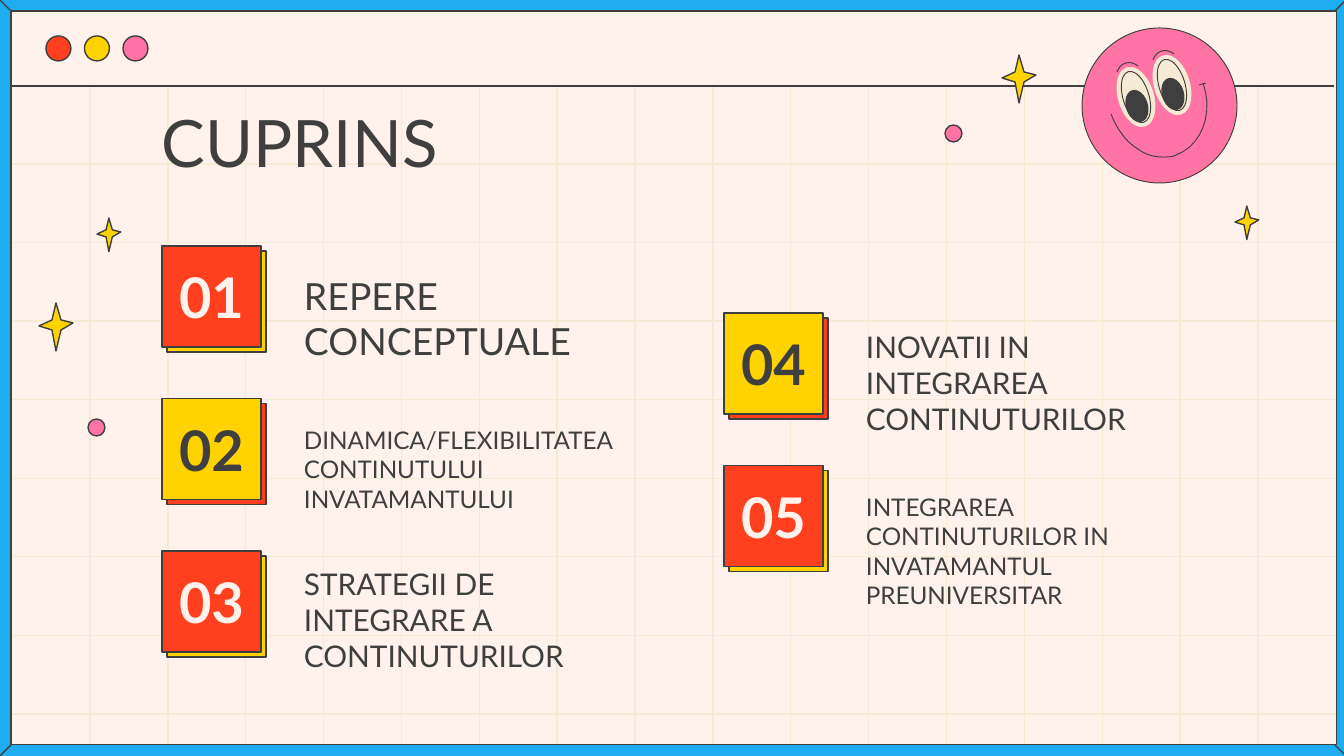
from pptx import Presentation
from pptx.dml.color import RGBColor
from pptx.enum.shapes import MSO_CONNECTOR, MSO_SHAPE
from pptx.enum.text import MSO_ANCHOR, PP_ALIGN
from pptx.oxml.ns import qn
from pptx.util import Pt
from lxml import etree

CREAM = RGBColor(0xFF, 0xF2, 0xEC)
SAND = RGBColor(0xF5, 0xEB, 0xD5)
INK = RGBColor(0x3F, 0x3F, 0x3F)
BLUE = RGBColor(0x1E, 0xAE, 0xF0)
RED = RGBColor(0xFF, 0x3F, 0x1E)
YELLOW = RGBColor(0xFF, 0xD3, 0x00)
PINK = RGBColor(0xFF, 0x74, 0xA5)
FONT = "Lato"

# Content: heading, then columns of (number, topic, size, topic drop)
HEADING = "CUPRINS"
COLUMNS = [
    (162, 246, [
        ("01", "REPERE CONCEPTUALE", 20, 27),
        ("02", "DINAMICA/FLEXIBILITATEA CONTINUTULUI INVATAMANTULUI", 13, 27),
        ("03", "STRATEGII DE INTEGRARE A CONTINUTURILOR", 16, 15),
    ]),
    (724, 313, [
        ("04", "INOVATII IN INTEGRAREA CONTINUTURILOR", 16, 16),
        ("05", "INTEGRAREA CONTINUTURILOR IN INVATAMANTUL PREUNIVERSITAR", 13, 27),
    ]),
]
CARD_STEP, CARD_W, CARD_H, CARD_SHIFT = 152.5, 99, 101, 5
RED_NUMBERS = ("01", "03", "05")

# Decoration
WINDOW_BUTTONS = [RED, YELLOW, PINK]
STAR = [(17, 0), (13, 17), (0, 23), (13, 27), (17, 48), (22, 27), (34, 20), (22, 17)]
STARS = [(1235, 206, 0.7), (1002, 55, 1), (39, 303, 1), (97, 218, 0.7)]
DOTS = [(88, 419), (945, 125)]

# Smiling face: eye layers as (centre x, centre y, width, height, fill, line)
EYE = [
    (1136, 97, 36, 62, SAND, None),
    (1136, 97, 26, 53, None, INK),
    (1137, 106, 22, 33, INK, None),
]
EYE_TILT = -17
EYE_SHIFTS = [(0, 0), (36, -12)]
SMILE = [(1111, 114), (1117, 129), (1126, 142), (1138, 149), (1146, 155),
         (1154, 157), (1164, 157), (1168, 157), (1172, 157), (1176, 155),
         (1201, 146), (1214, 114), (1203, 83)]
BROW = [(1117, 72), (1119, 67), (1122, 64), (1126, 63), (1130, 62), (1134, 63), (1138, 66)]
DIMPLE = [(1199, 85), (1206, 83)]

W, H = 1344, 756
EMU_PER_PX = 914400 / 134.4


def px(length):
    return round(length * EMU_PER_PX)


def paint(shape, fill, line, weight=0.75):
    shape.shadow.inherit = False
    if fill is None:
        shape.fill.background()
    else:
        shape.fill.solid()
        shape.fill.fore_color.rgb = fill
    if line is None:
        shape.line.fill.background()
    else:
        shape.line.color.rgb = line
        shape.line.width = Pt(weight)
    return shape


def add_shape(kind, x, y, w, h, fill, line=INK, weight=0.75):
    shape = slide.shapes.add_shape(kind, px(x), px(y), px(w), px(h))
    return paint(shape, fill, line, weight)


def add_line(x1, y1, x2, y2, color=INK):
    line = slide.shapes.add_connector(
        MSO_CONNECTOR.STRAIGHT, px(x1), px(y1), px(x2), px(y2))
    line.line.color.rgb = color
    line.line.width = Pt(0.75)
    etree.SubElement(line._element.spPr, qn("a:effectLst"))


def add_outline(points, fill=None, close=False, weight=0.75):
    corners = [(px(x), px(y)) for x, y in points]
    builder = slide.shapes.build_freeform(*corners[0], scale=1.0)
    builder.add_line_segments(corners[1:], close=close)
    return paint(builder.convert_to_shape(), fill, INK, weight)


def curve(knots, steps=10):
    """Points along joined cubic curves whose ends are every third knot."""
    points = [knots[0]]
    for i in range(0, len(knots) - 1, 3):
        for t in (n / steps for n in range(1, steps + 1)):
            weights = ((1 - t) ** 3, 3 * t * (1 - t) ** 2, 3 * t * t * (1 - t), t ** 3)
            points.append(tuple(
                sum(k * knot[axis] for k, knot in zip(weights, knots[i:i + 4]))
                for axis in (0, 1)))
    return points


def write(shape, text, size, color=INK, bold=False, align=PP_ALIGN.LEFT, anchor=MSO_ANCHOR.TOP):
    frame = shape.text_frame
    layout = dict(word_wrap=True, vertical_anchor=anchor, margin_left=0,
                  margin_right=0, margin_top=0, margin_bottom=0)
    for name, value in layout.items():
        setattr(frame, name, value)
    paragraph = frame.paragraphs[0]
    paragraph.alignment = align
    run = paragraph.add_run()
    run.text = text
    for name, value in dict(name=FONT, size=Pt(size), bold=bold).items():
        setattr(run.font, name, value)
    run.font.color.rgb = color


def add_text(x, y, w, h, text, size):
    write(slide.shapes.add_textbox(px(x), px(y), px(w), px(h)), text, size)


prs = Presentation()
prs.slide_width, prs.slide_height = px(W), px(H)
slide = prs.slides.add_slide(prs.slide_layouts[6])
slide.background.fill.solid()
slide.background.fill.fore_color.rgb = CREAM

# Grid
for i in range(16):
    x = 90 + i * 1168 / 15
    add_line(x, 85, x, 747, SAND)
for i in range(8):
    y = 164 + i * 550 / 7
    add_line(9, y, 1337, y, SAND)

# Window frame with mitred corners
add_line(11, 86, W - 10, 86)
window = add_shape(MSO_SHAPE.FRAME, -9, -9, W + 22, H + 18, BLUE)
window.adjustments[0] = 0.026
for inner_x, outer_x in ((11, -9), (W - 9, W + 11)):
    for inner_y, outer_y in ((11, -9), (H - 11, H + 9)):
        add_line(inner_x, inner_y, outer_x, outer_y)

# Window buttons, stars and dots
for i, color in enumerate(WINDOW_BUTTONS):
    add_shape(MSO_SHAPE.OVAL, 46 + 38.5 * i, 36, 25, 25, color)
for left, top, scale in STARS:
    add_outline([(left + x * scale, top + y * scale) for x, y in STAR], YELLOW, close=True)
for left, top in DOTS:
    add_shape(MSO_SHAPE.OVAL, left, top, 17, 17, PINK)

# Numbered topics
for left, first_top, topics in COLUMNS:
    for i, (number, topic, size, drop) in enumerate(topics):
        top = first_top + i * CARD_STEP
        is_red = number in RED_NUMBERS
        front, back = (RED, YELLOW) if is_red else (YELLOW, RED)
        add_shape(MSO_SHAPE.RECTANGLE, left + CARD_SHIFT, top + CARD_SHIFT, CARD_W, CARD_H, back)
        card = add_shape(MSO_SHAPE.RECTANGLE, left, top, CARD_W, CARD_H, front)
        write(card, number, 30, CREAM if is_red else INK, True,
              PP_ALIGN.CENTER, MSO_ANCHOR.MIDDLE)
        add_text(left + 142, top + drop, 317, 44, topic, size)

# Smiling face
add_shape(MSO_SHAPE.OVAL, 1082, 28, 155, 155, PINK, weight=0.5)
for dx, dy in EYE_SHIFTS:
    for x, y, w, h, fill, line in EYE:
        layer = add_shape(MSO_SHAPE.OVAL, x + dx - w / 2, y + dy - h / 2, w, h, fill, line, 0.5)
        layer.rotation = EYE_TILT
    add_outline(curve([(x + dx, y + dy) for x, y in BROW]), weight=0.5)
add_outline(curve(SMILE), weight=0.5)
add_outline(DIMPLE, weight=0.5)

# Heading
add_text(162, 102, 667, 85, HEADING, 35)

prs.save("out.pptx")
